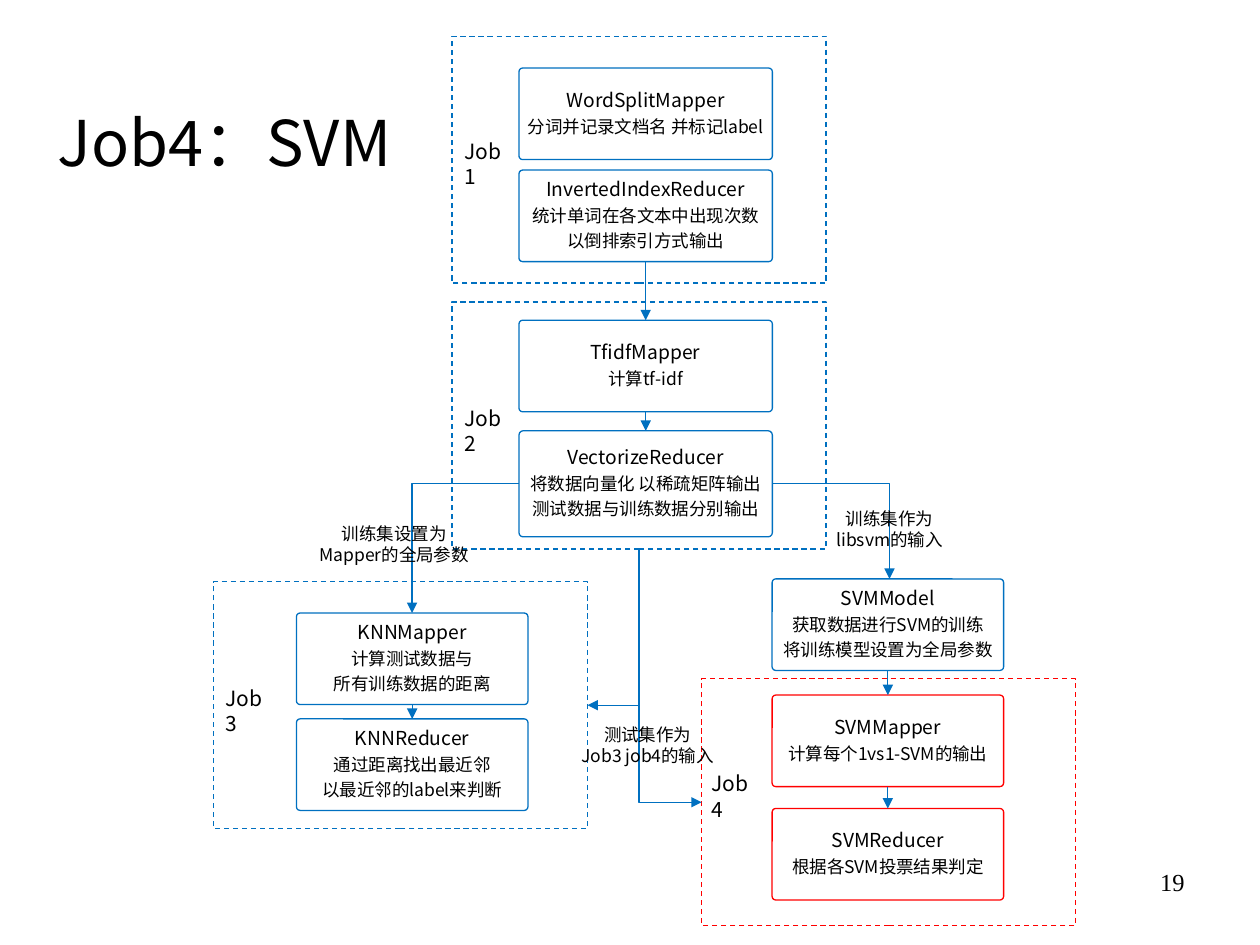
"""Build the SVM job flow slide: mappers and reducers grouped in four jobs."""
from lxml.etree import SubElement
from pptx import Presentation
from pptx.dml.color import RGBColor
from pptx.enum.dml import MSO_LINE
from pptx.enum.shapes import MSO_CONNECTOR, MSO_SHAPE
from pptx.enum.text import MSO_ANCHOR, PP_ALIGN
from pptx.oxml.ns import qn
from pptx.util import Pt

COLORS = {"blue": "0070C0", "red": "FF0000", "white": "FFFFFF", "black": "000000"}
FONT = "Noto Sans CJK SC"
WIDE, NARROW = (296.6, 144.8), (169.4, 132.3)
SVM_COLUMN = (441.2, 132.3)
STEP_HEIGHT = 52.3
FRAME_SIZE = (213.8, 141.1)

STEPS = {
    "split": (WIDE, 38.9, STEP_HEIGHT, "blue", ["WordSplitMapper", "分词并记录文档名 并标记label"]),
    "index": (WIDE, 97.2, STEP_HEIGHT, "blue",
              ["InvertedIndexReducer", "统计单词在各文本中出现次数", "以倒排索引方式输出"]),
    "tfidf": (WIDE, 183, STEP_HEIGHT, "blue", ["TfidfMapper", "计算tf-idf"]),
    "vectorize": (WIDE, 246.2, 60.6, "blue",
                  ["VectorizeReducer", "将数据向量化 以稀疏矩阵输出", "测试数据与训练数据分别输出"]),
    "knn_map": (NARROW, 350.3, STEP_HEIGHT, "blue",
                ["KNNMapper", "计算测试数据与", "所有训练数据的距离"]),
    "knn_reduce": (NARROW, 410.8, STEP_HEIGHT, "blue",
                   ["KNNReducer", "通过距离找出最近邻", "以最近邻的label来判断"]),
    "svm_map": (SVM_COLUMN, 397.2, STEP_HEIGHT, "red", ["SVMMapper", "计算每个1vs1-SVM的输出"]),
    "svm_reduce": (SVM_COLUMN, 462, STEP_HEIGHT, "red", ["SVMReducer", "根据各SVM投票结果判定"]),
    "svm_model": (SVM_COLUMN, 330.8, STEP_HEIGHT, "blue",
                  ["SVMModel", "获取数据进行SVM的训练", "将训练模型设置为全局参数"]),
}
FLOWS = [("index", "tfidf"), ("tfidf", "vectorize"), ("knn_map", "knn_reduce"),
         ("svm_model", "svm_map"), ("svm_map", "svm_reduce")]
JOBS = [("Job1", 258.3, 20.7, "blue", 258.3, 75.6), ("Job2", 258.3, 172.6, "blue", 258.3, 228.2),
        ("Job3", 121.9, 332.5, "blue", 121.9, 388.1), ("Job4", 401, 387.9, "red", 399.6, 437)]
NOTES = [(["测试集作为", "Job3 job4的输入"], 311.8, 410.4),
         (["训练集设置为", "Mapper的全局参数"], 167, 295.2),
         (["训练集作为", "libsvm的输入"], 450, 286.6)]
ELBOWS = [((296.6, 276.5), (235.5, 350.3), "tailEnd"),
          ((441.4, 276.5), (508.3, 330.8), "tailEnd"),
          ((335.7, 403), (365.2, 313.7), "headEnd"),
          ((401, 458.5), (365.2, 313.7), "headEnd")]


def color(name):
    """Return the named colour."""
    return RGBColor.from_string(COLORS[name])


def write_line(paragraph, text, size, alignment=PP_ALIGN.LEFT, font=FONT):
    """Fill one paragraph with black text."""
    paragraph.text = text
    paragraph.alignment = alignment
    paragraph.font.size = Pt(size)
    paragraph.font.name = font
    paragraph.font.color.rgb = color("black")


def add_text(slide, lines, box, size, alignment=PP_ALIGN.LEFT, font=FONT):
    """Add a text box with one paragraph for each line."""
    frame = slide.shapes.add_textbox(*map(Pt, box)).text_frame
    frame.word_wrap = True
    for number, line in enumerate(lines):
        paragraph = frame.add_paragraph() if number else frame.paragraphs[0]
        write_line(paragraph, line, size, alignment, font)


def add_box(slide, kind, box, outline):
    """Add an outlined shape without shadow."""
    shape = slide.shapes.add_shape(kind, *map(Pt, box))
    shape.shadow.inherit = False
    shape.line.color.rgb = color(outline)
    shape.line.width = Pt(0.75)
    return shape


def add_step(slide, column, top, height, outline, lines):
    """Add a rounded step with a larger first line."""
    left, width = column
    shape = add_box(slide, MSO_SHAPE.ROUNDED_RECTANGLE, (left, top, width, height), outline)
    shape.adjustments[0] = 0.04
    shape.fill.solid()
    shape.fill.fore_color.rgb = color("white")
    frame = shape.text_frame
    frame.word_wrap = True
    frame.vertical_anchor = MSO_ANCHOR.MIDDLE
    frame.margin_left = frame.margin_right = frame.margin_top = frame.margin_bottom = Pt(3.6)
    for number, line in enumerate(lines):
        paragraph = frame.add_paragraph() if number else frame.paragraphs[0]
        size = 10 if number else 11
        write_line(paragraph, line, size, PP_ALIGN.CENTER)
        paragraph.line_spacing = 0.9
        paragraph.space_after = Pt(0.35 * size)
    return shape


def add_job(slide, name, left, top, outline, label_left, label_top):
    """Add a dashed job frame and its label."""
    frame = add_box(slide, MSO_SHAPE.RECTANGLE, (left, top, *FRAME_SIZE), outline)
    frame.fill.background()
    frame.line.dash_style = MSO_LINE.DASH
    add_text(slide, [name], (label_left, label_top, 41.8, 21.6), 12)


def add_arrow(slide, kind, start, end, arrow_end="tailEnd"):
    """Add a blue connector with a triangle at the given end."""
    connector = slide.shapes.add_connector(kind, *map(Pt, (*start, *end)))
    connector.line.color.rgb = color("blue")
    connector.line.width = Pt(0.75)
    SubElement(connector.line._get_or_add_ln(), qn("a:" + arrow_end), type="triangle")
    SubElement(connector._element.spPr, qn("a:effectLst"))
    return connector


def add_flow(slide, source, target):
    """Join the bottom of one step to the top of the next."""
    connector = add_arrow(slide, MSO_CONNECTOR.STRAIGHT, (0, 0), (0, 0))
    connector.begin_connect(source, 2)
    connector.end_connect(target, 0)


def add_elbow(slide, start, end, arrow_end):
    """Add an arrow with one corner, level at its start."""
    connector = add_arrow(slide, MSO_CONNECTOR.ELBOW, start, end, arrow_end)
    connector._element.spPr.find(qn("a:prstGeom")).set("prst", "bentConnector2")


def main():
    """Build and save the slide."""
    presentation = Presentation()
    presentation.slide_width, presentation.slide_height = Pt(720), Pt(540)
    slide = presentation.slides.add_slide(presentation.slide_layouts[6])
    add_text(slide, ["19"], (516.2, 491.8, 167.8, 37.4), 14, PP_ALIGN.RIGHT, "Times New Roman")
    steps = {name: add_step(slide, *step) for name, step in STEPS.items()}
    for job in JOBS:
        add_job(slide, *job)
    for elbow in ELBOWS:
        add_elbow(slide, *elbow)
    for lines, left, top in NOTES:
        add_text(slide, lines, (left, top, 116.6, 31.7), 10, PP_ALIGN.CENTER)
    for source, target in FLOWS:
        add_flow(slide, steps[source], steps[target])
    add_text(slide, ["Job4：SVM"], (25.9, 55.4, 573.8, 39.6), 36, PP_ALIGN.JUSTIFY)
    presentation.save("out.pptx")


if __name__ == "__main__":
    main()
